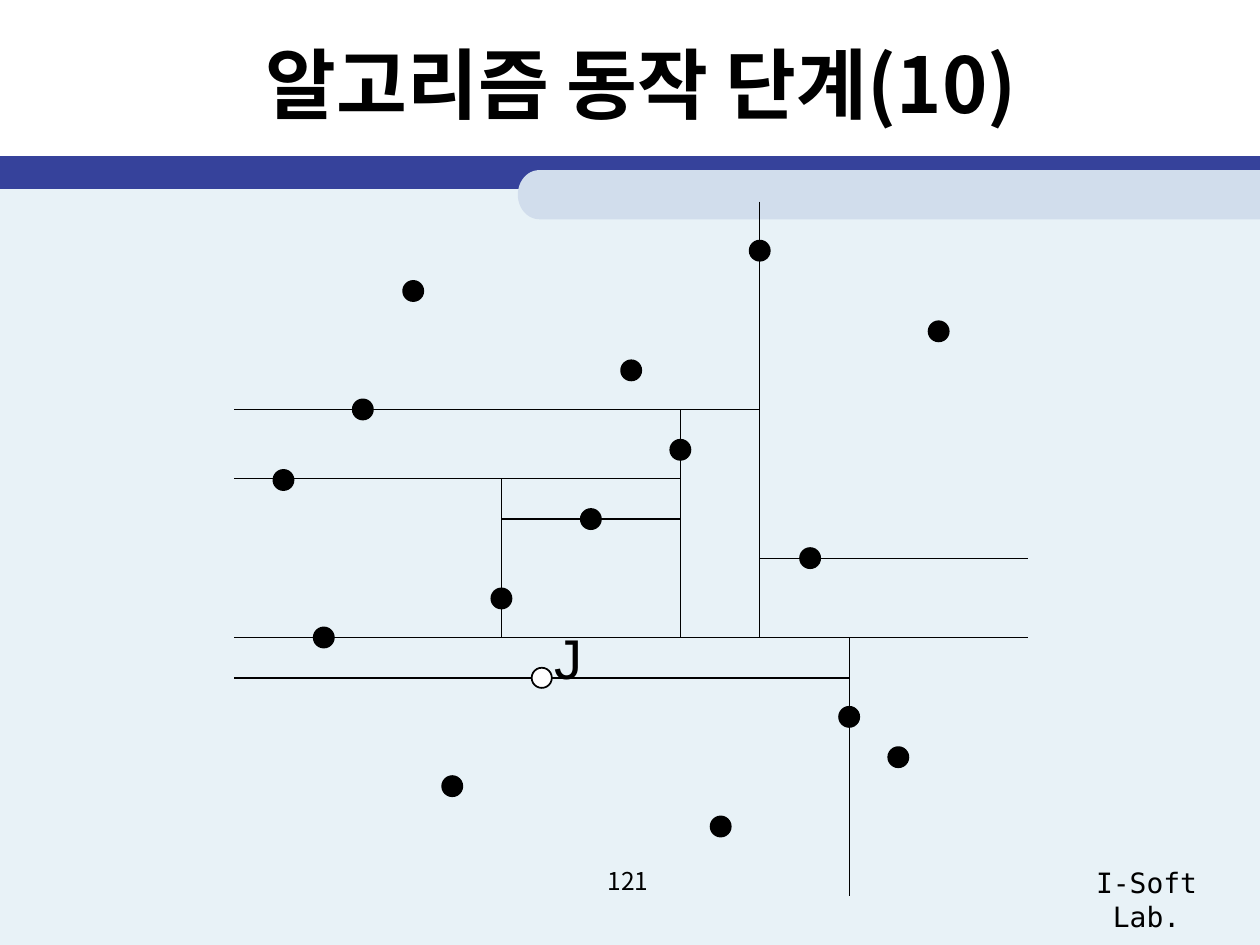
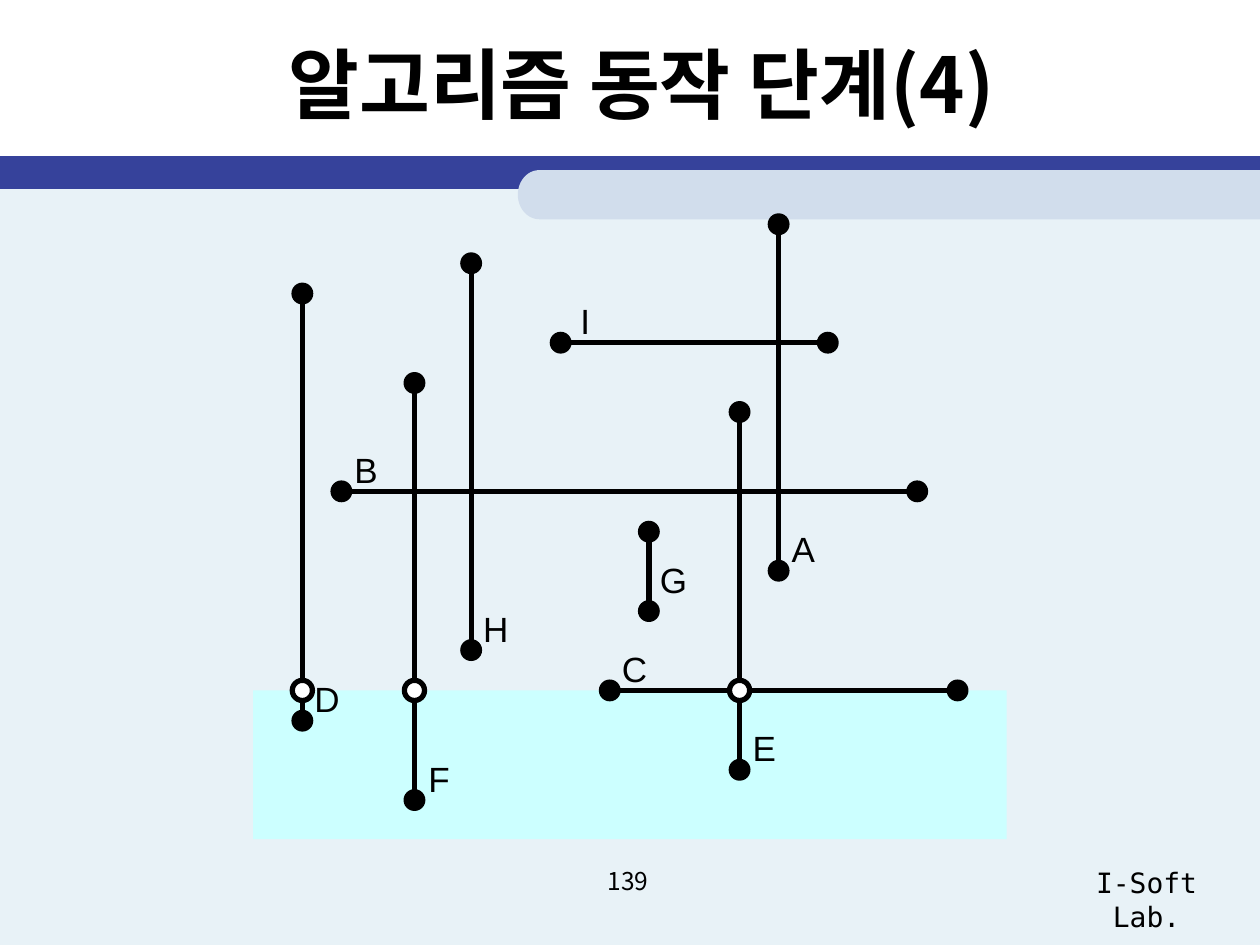
from dataclasses import dataclass
from math import cos, pi, sin

from lxml import etree
from pptx import Presentation
from pptx.dml.color import RGBColor
from pptx.enum.shapes import MSO_CONNECTOR, MSO_SHAPE
from pptx.enum.text import MSO_ANCHOR, MSO_AUTO_SIZE, PP_ALIGN
from pptx.oxml.ns import qn
from pptx.util import Inches, Pt


@dataclass(frozen=True)
class Theme:
    ink: str = "000000"
    white: str = "FFFFFF"
    body: str = "E8F2F7"
    band: str = "36429B"
    tab: str = "D1DDEC"
    swept: str = "CCFFFF"
    title_font: str = "Noto Sans CJK KR"
    label_font: str = "Arial"
    footer_font: str = "DejaVu Sans Mono"
    title_size: int = 44
    point_name_size: int = 32
    label_size: int = 20
    footer_size: int = 16
    number_size: int = 14
    thin: float = 0.75
    outline: float = 1
    thick: float = 3


THEME = Theme()
DOT = 0.16

# Partition lines (x1, y1, x2, y2) and the points of the plane (x, y)
SPLITS = [
    (1.86, 5.06, 8.16, 5.06), (6.03, 1.6, 6.03, 5.06),
    (1.86, 3.25, 6.03, 3.25), (5.4, 3.25, 5.4, 5.06),
    (6.74, 5.06, 6.74, 7.11), (1.86, 3.8, 5.4, 3.8),
    (6.03, 4.43, 8.16, 4.43), (3.98, 3.8, 3.98, 5.06),
    (3.98, 4.12, 5.4, 4.12), (1.86, 5.38, 6.74, 5.38),
]
POINTS = [
    (3.28, 2.31), (5.72, 6.56), (7.13, 6.01), (5.01, 2.94), (3.59, 6.24),
    (5.4, 3.57), (7.45, 2.63), (2.57, 5.06), (6.03, 1.99), (2.88, 3.25),
    (6.74, 5.69), (2.25, 3.81), (6.43, 4.43), (3.98, 4.75), (4.69, 4.12),
]
POINT_J = (4.3, 5.38)

# Named segments; the last end is the one that carries the label
SEGMENTS = {
    "A": (6.18, 1.78, 6.18, 4.53),
    "B": (7.28, 3.9, 2.71, 3.9),
    "C": (7.6, 5.48, 4.84, 5.48),
    "D": (2.4, 2.33, 2.4, 5.72),
    "E": (5.87, 3.27, 5.87, 6.11),
    "F": (3.29, 3.04, 3.29, 6.35),
    "G": (5.15, 4.22, 5.15, 4.85),
    "H": (3.74, 2.09, 3.74, 5.16),
    "I": (6.57, 2.72, 4.45, 2.72),
}
LABEL_RISE = {"G": 0.47}
SWEEP_Y = 5.48
CROSSED = "DFE"


def rgb(color):
    return RGBColor.from_string(color)


def write(sp, text, size, font, bold=False, anchor=MSO_ANCHOR.TOP, wrap=True):
    tf = sp.text_frame
    tf.auto_size = MSO_AUTO_SIZE.NONE
    tf.word_wrap = wrap
    tf.vertical_anchor = anchor
    p = tf.paragraphs[0]
    p.alignment = PP_ALIGN.CENTER
    r = p.add_run()
    r.text = text
    r.font.size = Pt(size)
    r.font.bold = bold
    r.font.color.rgb = rgb(THEME.ink)
    r.font.name = font
    latin = r.font._element.find(qn("a:latin"))
    east_asian = etree.Element(qn("a:ea"), typeface=font)
    latin.addnext(east_asian)


def add_text(slide, text, x, y, w, h, **style):
    box = slide.shapes.add_textbox(Inches(x), Inches(y), Inches(w), Inches(h))
    write(box, text, **style)


def paint(sp, fill, line=None, width=THEME.outline):
    sp.shadow.inherit = False
    sp.fill.solid()
    sp.fill.fore_color.rgb = rgb(fill)
    if line:
        sp.line.color.rgb = rgb(line)
        sp.line.width = Pt(width)
    else:
        sp.line.fill.background()


def add_rect(slide, x, y, w, h, fill):
    sp = slide.shapes.add_shape(
        MSO_SHAPE.RECTANGLE, Inches(x), Inches(y), Inches(w), Inches(h))
    paint(sp, fill)


def add_dot(slide, x, y, fill=THEME.ink, width=THEME.outline):
    """Draw a round point centred on (x, y)."""
    sp = slide.shapes.add_shape(
        MSO_SHAPE.OVAL, Inches(x - DOT / 2), Inches(y - DOT / 2),
        Inches(DOT), Inches(DOT))
    paint(sp, fill, THEME.ink, width)


def add_line(slide, x1, y1, x2, y2, width):
    line = slide.shapes.add_connector(
        MSO_CONNECTOR.STRAIGHT, Inches(x1), Inches(y1), Inches(x2), Inches(y2))
    line.line.color.rgb = rgb(THEME.ink)
    line.line.width = Pt(width)
    etree.SubElement(line._element.spPr, qn("a:effectLst"))


def add_header_tab(slide):
    """Draw the pale strip that runs off to the right from a rounded left end."""
    right, cap_x, middle, rx, ry = 10, 4.28, 1.545, 0.17, 0.195
    steps = 24
    cap = [(cap_x - rx * sin(pi * i / steps), middle - ry * cos(pi * i / steps))
           for i in range(steps + 1)]
    outline = [(Inches(x), Inches(y)) for x, y in cap + [(right, middle + ry)]]
    builder = slide.shapes.build_freeform(Inches(right), Inches(middle - ry))
    builder.add_line_segments(outline, close=True)
    paint(builder.convert_to_shape(), THEME.tab)


def add_slide(prs, title, number):
    slide = prs.slides.add_slide(prs.slide_layouts[5])
    add_rect(slide, 0, 1.4, 10, 6.1, THEME.body)
    add_rect(slide, 0, 1.24, 10, 0.26, THEME.band)
    add_header_tab(slide)
    add_text(slide, "I-Soft Lab.", 8.31, 6.82, 1.58, 0.37,
             size=THEME.footer_size, font=THEME.footer_font)
    add_text(slide, number, 3.82, 6.82, 2.33, 0.52,
             size=THEME.number_size, font=THEME.title_font)
    sp = slide.shapes.title
    sp.left, sp.top = Inches(0.59), Inches(0.08)
    sp.width, sp.height = Inches(9), Inches(1.15)
    write(sp, title, THEME.title_size, THEME.title_font,
          bold=True, anchor=MSO_ANCHOR.MIDDLE)
    return slide


def add_plane_partition(slide):
    for split in SPLITS:
        add_line(slide, *split, THEME.thin)
    for point in POINTS:
        add_dot(slide, *point)
    x, y = POINT_J
    add_text(slide, "J", x, y - 0.48, 0.34, 0.64,
             size=THEME.point_name_size, font=THEME.label_font)
    add_dot(slide, x, y, THEME.white)


def add_segment_sweep(slide):
    add_rect(slide, 2.01, SWEEP_Y, 5.98, 1.18, THEME.swept)
    for name, (x1, y1, x2, y2) in SEGMENTS.items():
        add_line(slide, x1, y1, x2, y2, THEME.thick)
        add_dot(slide, x1, y1)
        add_dot(slide, x2, y2)
        add_text(slide, name, x2, y2 - LABEL_RISE.get(name, 0.39), 0.39, 0.44,
                 size=THEME.label_size, font=THEME.label_font, wrap=False)
    for name in CROSSED:
        add_dot(slide, SEGMENTS[name][0], SWEEP_Y, THEME.white, THEME.thick)


def main():
    prs = Presentation()
    prs.slide_width, prs.slide_height = Inches(10), Inches(7.5)
    add_plane_partition(add_slide(prs, "알고리즘 동작 단계(10)", "121"))
    add_segment_sweep(add_slide(prs, "알고리즘 동작 단계(4)", "139"))
    prs.save("out.pptx")


if __name__ == "__main__":
    main()
